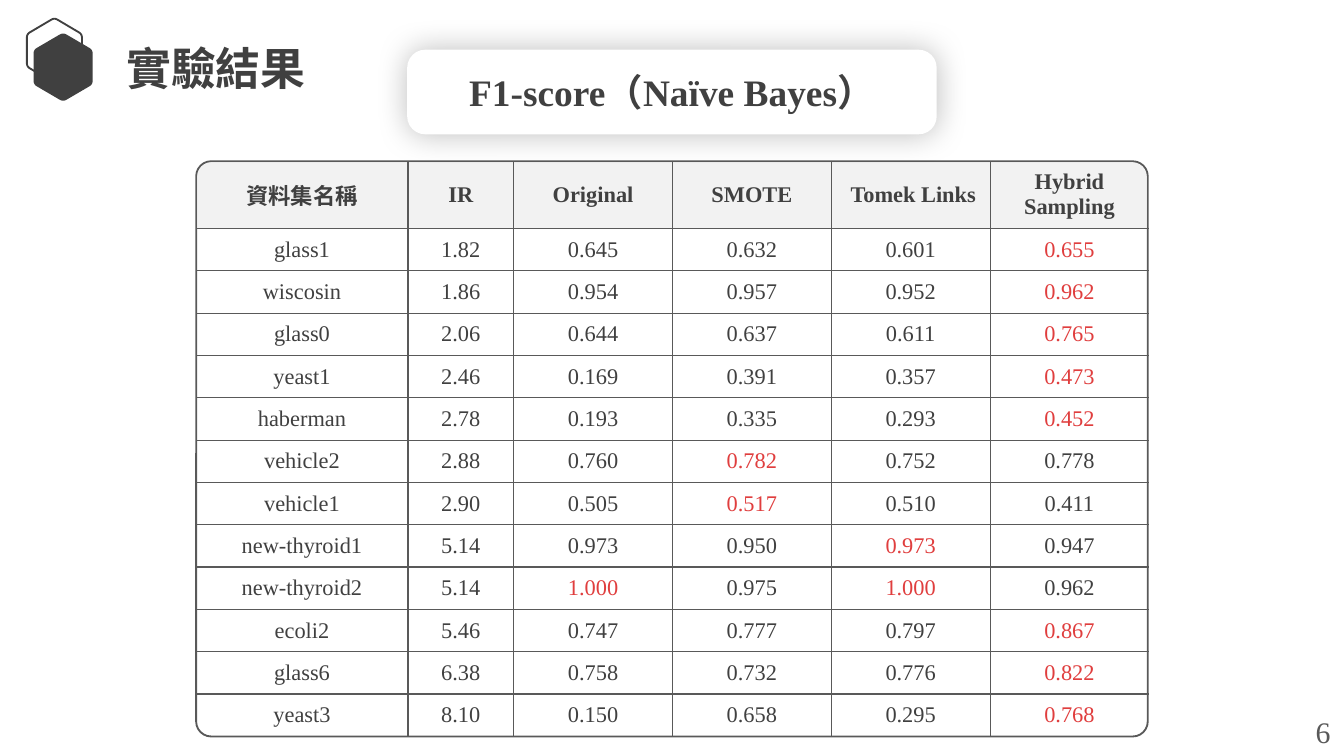
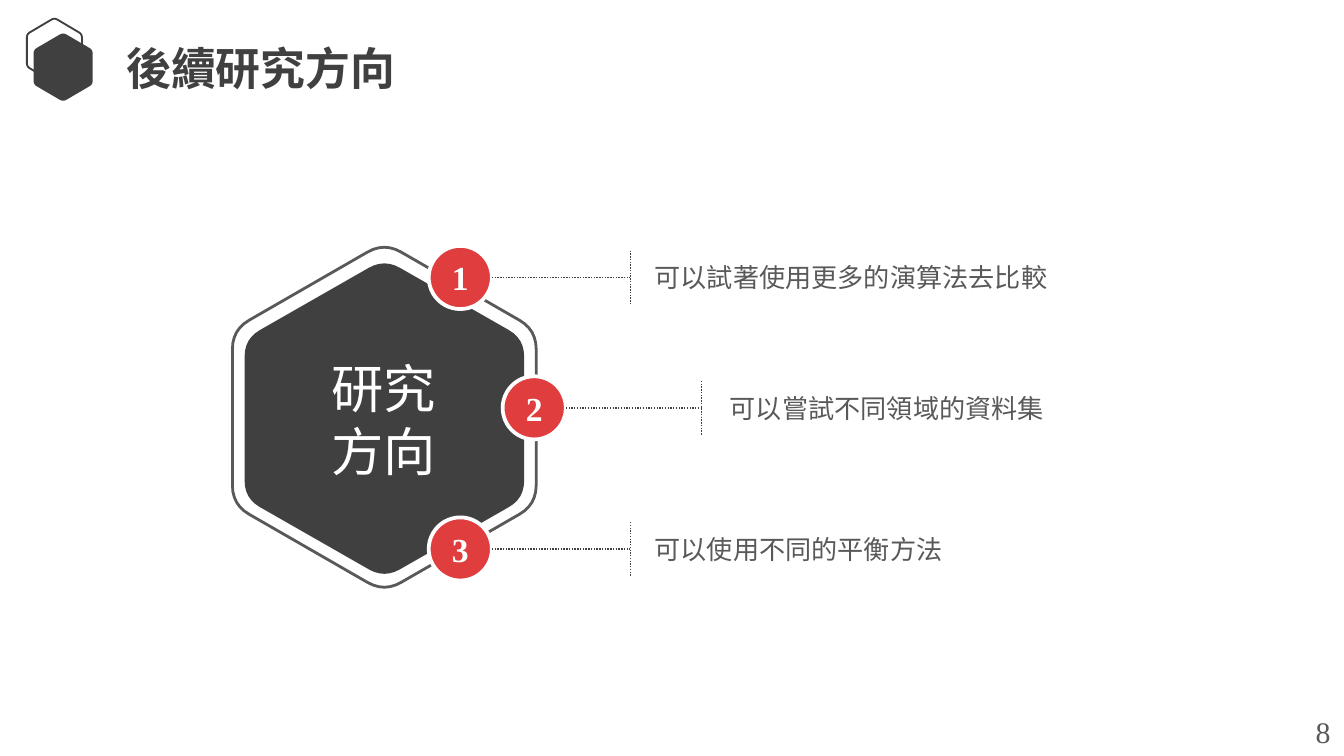
from dataclasses import dataclass
from math import cos, pi, sin

from lxml.etree import SubElement
from pptx import Presentation
from pptx.dml.color import RGBColor
from pptx.enum.dml import MSO_LINE
from pptx.enum.shapes import MSO_CONNECTOR, MSO_SHAPE
from pptx.enum.text import MSO_ANCHOR, MSO_AUTO_SIZE, PP_ALIGN
from pptx.oxml.ns import qn
from pptx.util import Pt

EMU_PER_PX = 9144
NO_STYLE_TABLE = "{2D5ABB26-0587-4C30-8999-92F81FD0307C}"


@dataclass(frozen=True)
class Theme:
    font: str = "Times New Roman"
    dark: str = "404040"
    gray: str = "595959"
    band: str = "F2F2F2"
    accent: str = "E03E3E"
    white: str = "FFFFFF"
    title_size: int = 24
    card_size: int = 20
    hub_size: int = 28
    badge_size: int = 18
    page_size: int = 16
    body_size: int = 14
    table_size: int = 12
    hairline: float = 0.75
    thin: float = 1
    medium: float = 1.5
    thick: float = 2


def px(length):
    return round(length * EMU_PER_PX)


def emu_box(box):
    return [px(length) for length in box]


def write_text(frame, text, *, font, size, color, bold=False, align=PP_ALIGN.LEFT,
               insets=(10, 5), wrap=True):
    frame.word_wrap = wrap
    frame.auto_size = MSO_AUTO_SIZE.NONE
    frame.vertical_anchor = MSO_ANCHOR.MIDDLE
    frame.margin_left = frame.margin_right = px(insets[0])
    frame.margin_top = frame.margin_bottom = px(insets[1])
    para = frame.paragraphs[0]
    para.text = text
    para.alignment = align
    for span in para.runs:
        span.font.name = font
        span.font.size = Pt(size)
        span.font.bold = bold
        span.font.color.rgb = RGBColor.from_string(color)


def hexagon_points(box, cut=0.11, steps=6):
    corners = [(sin(k * pi / 3), -cos(k * pi / 3)) for k in range(6)]
    points = []
    for k, corner in enumerate(corners):
        before, after = corners[k - 1], corners[(k + 1) % 6]
        for step in range(steps + 1):
            t = step / steps
            weights = (cut * (1 - t) ** 2, cut * t ** 2)
            points.append([c + weights[0] * (b - c) + weights[1] * (a - c)
                           for b, c, a in zip(before, corner, after)])
    left, top, width, height = box
    reach_x = max(x for x, _ in points)
    reach_y = max(y for _, y in points)
    return [(px(left + width * (1 + x / reach_x) / 2),
             px(top + height * (1 + y / reach_y) / 2)) for x, y in points]


class SlideBuilder:
    def __init__(self, deck, theme):
        self.deck = deck
        self.theme = theme
        self.slide = None

    def start(self, title, page):
        theme = self.theme
        self.slide = self.deck.slides.add_slide(self.deck.slide_layouts[5])
        heading = self.slide.shapes.title
        heading.left, heading.top, heading.width, heading.height = emu_box((87, 26, 260, 48))
        write_text(heading.text_frame, title, font=theme.font, size=theme.title_size,
                   color=theme.dark, bold=True, insets=(7, 4))
        self.hexagon((20, 14, 41, 47), line=theme.dark, weight=theme.thin)
        self.hexagon((25, 25, 44, 50), fill=theme.dark)
        self.text((969, 526, 31, 37), str(page), size=theme.page_size,
                  color=theme.gray, wrap=False)

    def paint(self, shape, fill=None, line=None, weight=1):
        shape.shadow.inherit = False
        if fill:
            shape.fill.solid()
            shape.fill.fore_color.rgb = RGBColor.from_string(fill)
        else:
            shape.fill.background()
        if line:
            shape.line.color.rgb = RGBColor.from_string(line)
            shape.line.width = Pt(weight)
        else:
            shape.line.fill.background()

    def text(self, box, text, **style):
        frame = self.slide.shapes.add_textbox(*emu_box(box)).text_frame
        write_text(frame, text, font=self.theme.font, **style)

    def shape(self, preset, box, adjustments=(), **style):
        shape = self.slide.shapes.add_shape(preset, *emu_box(box))
        for index, value in enumerate(adjustments):
            shape.adjustments[index] = value
        self.paint(shape, **style)
        return shape

    def hexagon(self, box, **style):
        points = hexagon_points(box)
        builder = self.slide.shapes.build_freeform(*points[0], scale=1.0)
        builder.add_line_segments(points[1:], close=True)
        self.paint(builder.convert_to_shape(), **style)

    def card(self, box, text):
        theme = self.theme
        card = self.shape(MSO_SHAPE.ROUNDED_RECTANGLE, box, (0.214,), fill=theme.white)
        effects = card.element.spPr.find(qn("a:effectLst"))
        shadow = SubElement(effects, qn("a:outerShdw"), blurRad=str(Pt(17)), dist="0",
                            dir="0", algn="ctr", rotWithShape="0")
        color = SubElement(shadow, qn("a:srgbClr"), val="000000")
        SubElement(color, qn("a:alpha"), val="25000")
        write_text(card.text_frame, text, font=theme.font, size=theme.card_size,
                   color=theme.dark, bold=True, align=PP_ALIGN.CENTER)

    def badge(self, box, number):
        theme = self.theme
        badge = self.shape(MSO_SHAPE.OVAL, box, fill=theme.accent, line=theme.white,
                           weight=theme.thick)
        write_text(badge.text_frame, str(number), font=theme.font, size=theme.badge_size,
                   color=theme.white, bold=True, align=PP_ALIGN.CENTER, insets=(7, 4))

    def dotted_line(self, *ends):
        line = self.slide.shapes.add_connector(MSO_CONNECTOR.STRAIGHT, *emu_box(ends))
        line.line.color.rgb = RGBColor.from_string(self.theme.dark)
        line.line.width = Pt(self.theme.hairline)
        line.line.dash_style = MSO_LINE.ROUND_DOT
        SubElement(line.element.spPr, qn("a:effectLst"))

    def cell_borders(self, cell, inner_sides):
        properties = cell._tc.get_or_add_tcPr()
        for index, (side, inner) in enumerate(inner_sides.items()):
            border = properties.makeelement(qn(f"a:{side}"), {"w": str(Pt(self.theme.hairline))})
            if inner:
                fill = SubElement(border, qn("a:solidFill"))
                SubElement(fill, qn("a:srgbClr"), val=self.theme.gray)
            else:
                SubElement(border, qn("a:noFill"))
            properties.insert(index, border)

    def table(self, box, rows, column_shares, header_height):
        theme = self.theme
        left, top, width, height = box
        last_row, last_column = len(rows) - 1, len(column_shares) - 1
        frame = self.slide.shapes.add_table(len(rows), len(column_shares), *emu_box(box))
        table = frame.table
        table.horz_banding = table.first_row = False
        table._tbl.tblPr.find(qn("a:tableStyleId")).text = NO_STYLE_TABLE
        for column, share in zip(table.columns, column_shares):
            column.width = px(width * share / sum(column_shares))
        for r, values in enumerate(rows):
            table.rows[r].height = px((height - header_height) / last_row if r else header_height)
            for c, value in enumerate(values):
                cell = table.cell(r, c)
                cell.fill.background()
                write_text(cell.text_frame, value.rstrip("*"), font=theme.font,
                           size=theme.table_size, bold=r == 0, align=PP_ALIGN.CENTER,
                           color=theme.accent if value.endswith("*") else theme.dark)
                cell.vertical_anchor = MSO_ANCHOR.MIDDLE
                self.cell_borders(cell, {"lnL": c > 0, "lnR": c < last_column,
                                         "lnT": r > 0, "lnB": r < last_row})


SCORES = [
    ("資料集名稱", "IR", "Original", "SMOTE", " Tomek Links", "Hybrid Sampling"),
    ("glass1", "1.82", "0.645", "0.632", "0.601", "0.655*"),
    ("wiscosin", "1.86", "0.954", "0.957", "0.952", "0.962*"),
    ("glass0", "2.06", "0.644", "0.637", "0.611", "0.765*"),
    ("yeast1", "2.46", "0.169", "0.391", "0.357", "0.473*"),
    ("haberman", "2.78", "0.193", "0.335", "0.293", "0.452*"),
    ("vehicle2", "2.88", "0.760", "0.782*", "0.752", "0.778"),
    ("vehicle1", "2.90", "0.505", "0.517*", "0.510", "0.411"),
    ("new-thyroid1", "5.14", "0.973", "0.950", "0.973*", "0.947"),
    ("new-thyroid2", "5.14", "1.000*", "0.975", "1.000*", "0.962"),
    ("ecoli2", "5.46", "0.747", "0.777", "0.797", "0.867*"),
    ("glass6", "6.38", "0.758", "0.732", "0.776", "0.822*"),
    ("yeast3", "8.10", "0.150", "0.658", "0.295", "0.768*"),
]

DIRECTIONS = [
    (319, 183, 469, 487, "可以試著使用更多的演算法去比較"),
    (374, 280, 522, 543, "可以嘗試不同領域的資料集"),
    (319, 385, 469, 487, "可以使用不同的平衡方法"),
]


def build_results(builder):
    theme = builder.theme
    builder.start("實驗結果", 6)
    builder.shape(MSO_SHAPE.ROUNDED_RECTANGLE, (146, 120, 708, 428), (0.026,),
                  fill=theme.white, line=theme.gray, weight=theme.thin)
    builder.shape(MSO_SHAPE.ROUND_2_SAME_RECTANGLE, (147, 121, 706, 49), (0.208, 0),
                  fill=theme.band)
    builder.table((146, 120, 709, 428), SCORES, (4, 2, 3, 3, 3, 3), 50)
    builder.card((303, 37, 394, 63), "F1-score（Naïve Bayes）")


def build_directions(builder):
    theme = builder.theme
    badge_size, tick_reach, text_right = 47, 20, 882
    builder.start("後續研究方向", 8)
    builder.hexagon((182, 196, 208, 231), fill=theme.dark)
    builder.text((228, 265, 115, 94), "研究\n方向", size=theme.hub_size, color=theme.white,
                 align=PP_ALIGN.CENTER, insets=(0, 0))
    builder.hexagon((173, 184, 226, 253), line=theme.gray, weight=theme.medium)
    for number, (left, top, tick, text_left, text) in enumerate(DIRECTIONS, 1):
        middle = top + badge_size / 2
        builder.badge((left, top, badge_size, badge_size), number)
        builder.dotted_line(left + badge_size, middle, tick, middle)
        builder.dotted_line(tick, middle - tick_reach, tick, middle + tick_reach)
        builder.text((text_left, middle - 12, text_right - text_left, 24), text,
                     size=theme.body_size, color=theme.gray, align=PP_ALIGN.JUSTIFY,
                     insets=(0, 0))


def main():
    deck = Presentation()
    deck.slide_width, deck.slide_height = px(1000), px(562.5)
    builder = SlideBuilder(deck, Theme())
    build_results(builder)
    build_directions(builder)
    deck.save("out.pptx")


if __name__ == "__main__":
    main()
